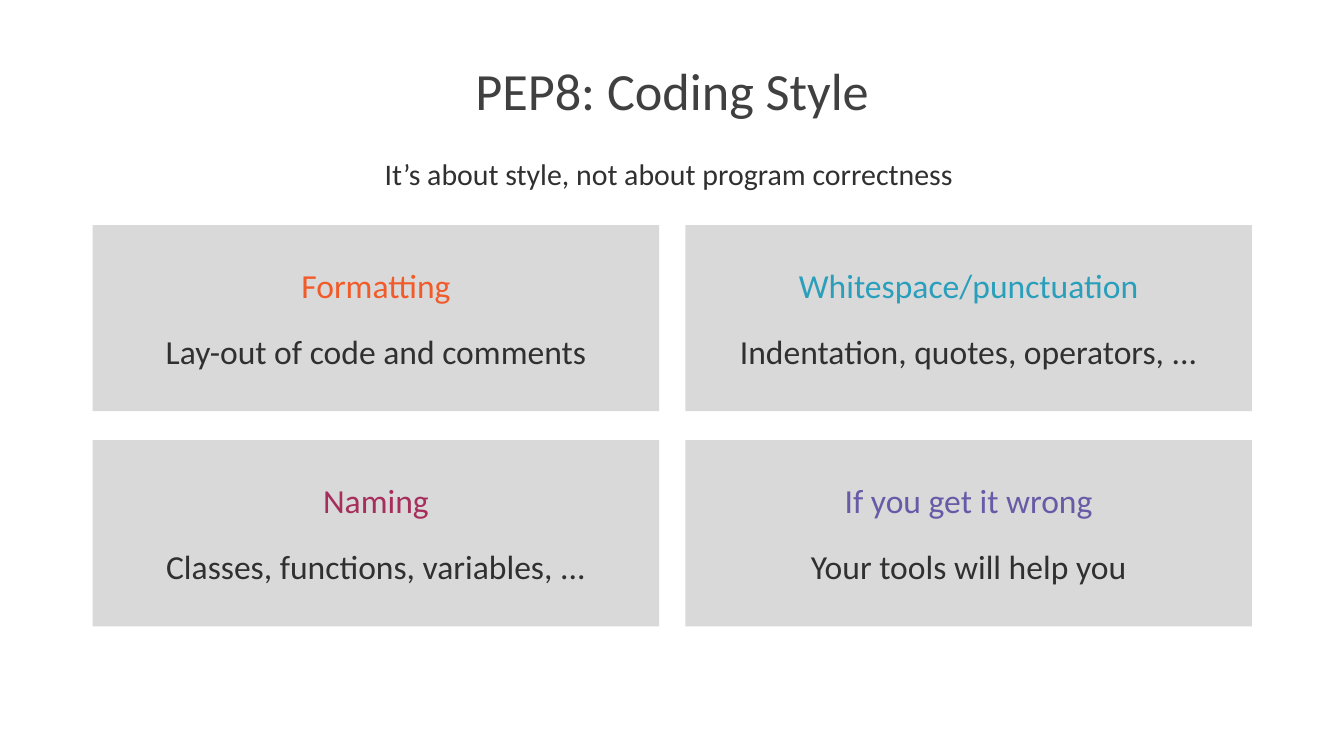
from dataclasses import dataclass

from pptx import Presentation
from pptx.dml.color import RGBColor
from pptx.enum import shapes, text
from pptx.util import Inches, Pt


@dataclass(frozen=True)
class Theme:
    font: str = "Calibri"
    title_size: int = 56
    subtitle_size: int = 32
    panel_size: int = 36
    title: str = "404040"
    body: str = "303030"
    panel: str = "D9D9D9"
    orange: str = "F15B2A"
    teal: str = "2A9FBC"
    berry: str = "A62E5C"
    purple: str = "675BA7"


THEME = Theme()
TOPICS = [
    ("Formatting", "Lay-out of code and comments", THEME.orange),
    ("Whitespace/punctuation", "Indentation, quotes, operators, ...", THEME.teal),
    ("Naming", "Classes, functions, variables, ...", THEME.berry),
    ("If you get it wrong", "Your tools will help you", THEME.purple),
]


def set_all(target, values):
    for name, value in values.items():
        setattr(target, name, value)


def write_line(para, words, size, color, **spacing):
    set_all(para, {"alignment": text.PP_ALIGN.CENTER, **spacing})
    span = para.add_run()
    span.text = words
    set_all(span.font, {"name": THEME.font, "size": Pt(size)})
    span.font.color.rgb = RGBColor.from_string(color)


def set_frame(frame, anchor, left, top, right, bottom):
    """Wrap and anchor the text, with margins in inches."""
    set_all(frame, {
        "word_wrap": True,
        "vertical_anchor": anchor,
        "margin_left": Inches(left),
        "margin_top": Inches(top),
        "margin_right": Inches(right),
        "margin_bottom": Inches(bottom),
    })


def add_title(page, box):
    frame = page.shapes.add_textbox(*map(Inches, box)).text_frame
    set_frame(frame, text.MSO_ANCHOR.MIDDLE, 0.1, 0.05, 0.1, 0.05)
    write_line(frame.paragraphs[0], "PEP8: Coding Style",
               THEME.title_size, THEME.title, line_spacing=0.9)


def add_subtitle(page, box):
    frame = page.shapes.add_textbox(*map(Inches, box)).text_frame
    set_frame(frame, text.MSO_ANCHOR.TOP, 0, 0.05, 0.1, 0.05)
    write_line(frame.paragraphs[0], "It’s about style, not about program correctness",
               THEME.subtitle_size, THEME.body, line_spacing=0.85)


def add_panel(page, box, heading, detail, color):
    panel = page.shapes.add_shape(shapes.MSO_SHAPE.RECTANGLE, *map(Inches, box))
    panel.shadow.inherit = False
    panel.fill.solid()
    panel.fill.fore_color.rgb = RGBColor.from_string(THEME.panel)
    panel.line.fill.background()
    frame = panel.text_frame
    set_frame(frame, text.MSO_ANCHOR.MIDDLE, 0.3, 0.3, 0.3, 0.3)
    write_line(frame.paragraphs[0], heading, THEME.panel_size, color, space_before=Pt(27))
    write_line(frame.add_paragraph(), detail, THEME.panel_size, THEME.body,
               space_before=Pt(27))


def add_panel_grid(page, box, columns=2, gap_x=0.39, gap_y=0.43):
    """Fill the box with equal panels, row by row."""
    left, top, width, height = box
    rows = len(TOPICS) // columns
    panel_width = (width - gap_x * (columns - 1)) / columns
    panel_height = (height - gap_y * (rows - 1)) / rows
    for index, topic in enumerate(TOPICS):
        row, column = divmod(index, columns)
        add_panel(page, (left + column * (panel_width + gap_x),
                         top + row * (panel_height + gap_y),
                         panel_width, panel_height), *topic)


def main():
    deck = Presentation()
    set_all(deck, {"slide_width": Inches(20), "slide_height": Inches(11.25)})
    page = deck.slides.add_slide(deck.slide_layouts[6])
    add_title(page, (1.38, 0.94, 17.25, 0.89))
    add_panel_grid(page, (1.38, 3.35, 17.25, 5.97))
    add_subtitle(page, (4.11, 2.35, 11.79, 0.48))
    deck.save("out.pptx")


if __name__ == "__main__":
    main()
